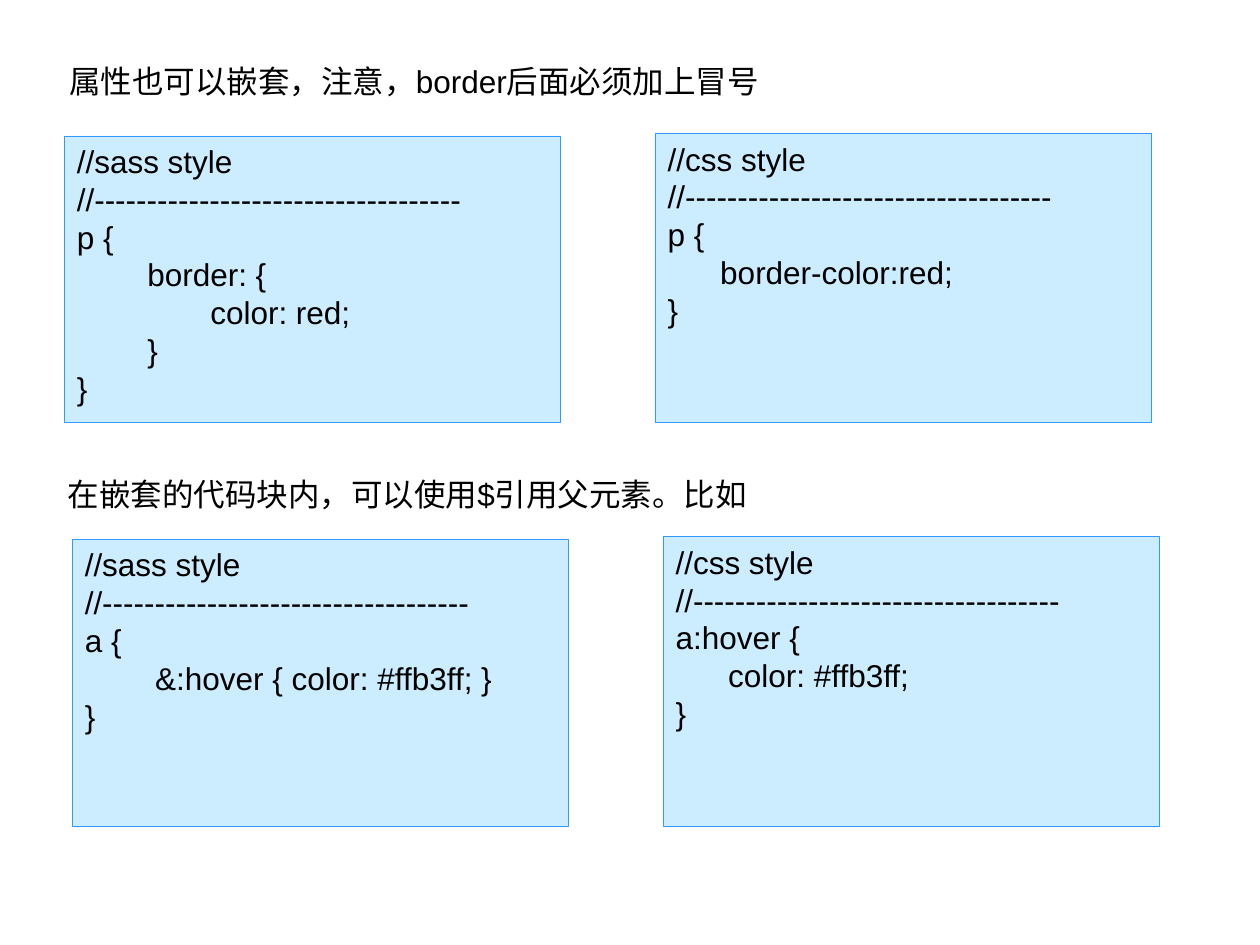
from pptx import Presentation
from pptx.dml.color import RGBColor
from pptx.enum.shapes import MSO_SHAPE
from pptx.enum.text import MSO_ANCHOR, PP_ALIGN
from pptx.util import Cm, Pt

BLACK = RGBColor(0x00, 0x00, 0x00)
PALE_BLUE = RGBColor(0xCC, 0xEC, 0xFF)
BLUE = RGBColor(0x33, 0x99, 0xFF)

FONT_FORMAT = {"name": "Arial", "size": Pt(18)}
PARA_FORMAT = {"alignment": PP_ALIGN.LEFT, "line_spacing": Pt(21.6)}
RULE = "//" + "-" * 35
SASS_INDENTS = (0, 1.42, 2.69)
CSS_INDENTS = (0, 1.06)


def write_lines(frame, lines):
    for index, (indent, text) in enumerate(lines):
        para = frame.paragraphs[0] if index == 0 else frame.add_paragraph()
        for name, value in PARA_FORMAT.items():
            setattr(para, name, value)
        if indent:
            para._p.get_or_add_pPr().set("marL", str(Cm(indent)))
        span = para.add_run()
        span.text = text
        for name, value in FONT_FORMAT.items():
            setattr(span.font, name, value)
        span.font.color.rgb = BLACK


deck = Presentation()
deck.slide_width, deck.slide_height = Cm(25.4), Cm(19.05)
page = deck.slides.add_slide(deck.slide_layouts[6])

headings = [
    (1.15, 1.12, "属性也可以嵌套，注意，border后面必须加上冒号"),
    (1.12, 9.45, "在嵌套的代码块内，可以使用$引用父元素。比如"),
]
for left, top, text in headings:
    box = page.shapes.add_textbox(Cm(left), Cm(top), Cm(15), Cm(1.02))
    box.text_frame.word_wrap = True
    write_lines(box.text_frame, [(0, text)])

code_rows = [
    (1.3, 2.74,
     [(0, "p {"), (1, "border: {"), (2, "color: red;"), (1, "}"), (0, "}")],
     [(0, "p {"), (1, "border-color:red;"), (0, "}")]),
    (1.46, 10.87,
     [(0, "a {"), (1, "&:hover { color: #ffb3ff; }"), (0, "}")],
     [(0, "a:hover {"), (1, "color: #ffb3ff;"), (0, "}")]),
]
for left, top, sass, css in code_rows:
    panels = [
        (left, top, 5.78, "//sass style", SASS_INDENTS, sass),
        (left + 11.91, top - 0.05, 5.83, "//css style", CSS_INDENTS, css),
    ]
    for x, y, height, title, indents, code in panels:
        box = page.shapes.add_shape(
            MSO_SHAPE.RECTANGLE, Cm(x), Cm(y), Cm(10), Cm(height))
        box.shadow.inherit = False
        box.fill.solid()
        box.fill.fore_color.rgb = PALE_BLUE
        box.line.color.rgb = BLUE
        box.line.width = Pt(0.25)
        box.text_frame.word_wrap = True
        box.text_frame.vertical_anchor = MSO_ANCHOR.TOP
        indented = [(indents[level], text) for level, text in code]
        write_lines(box.text_frame, [(0, title), (0, RULE)] + indented)

deck.save("out.pptx")
